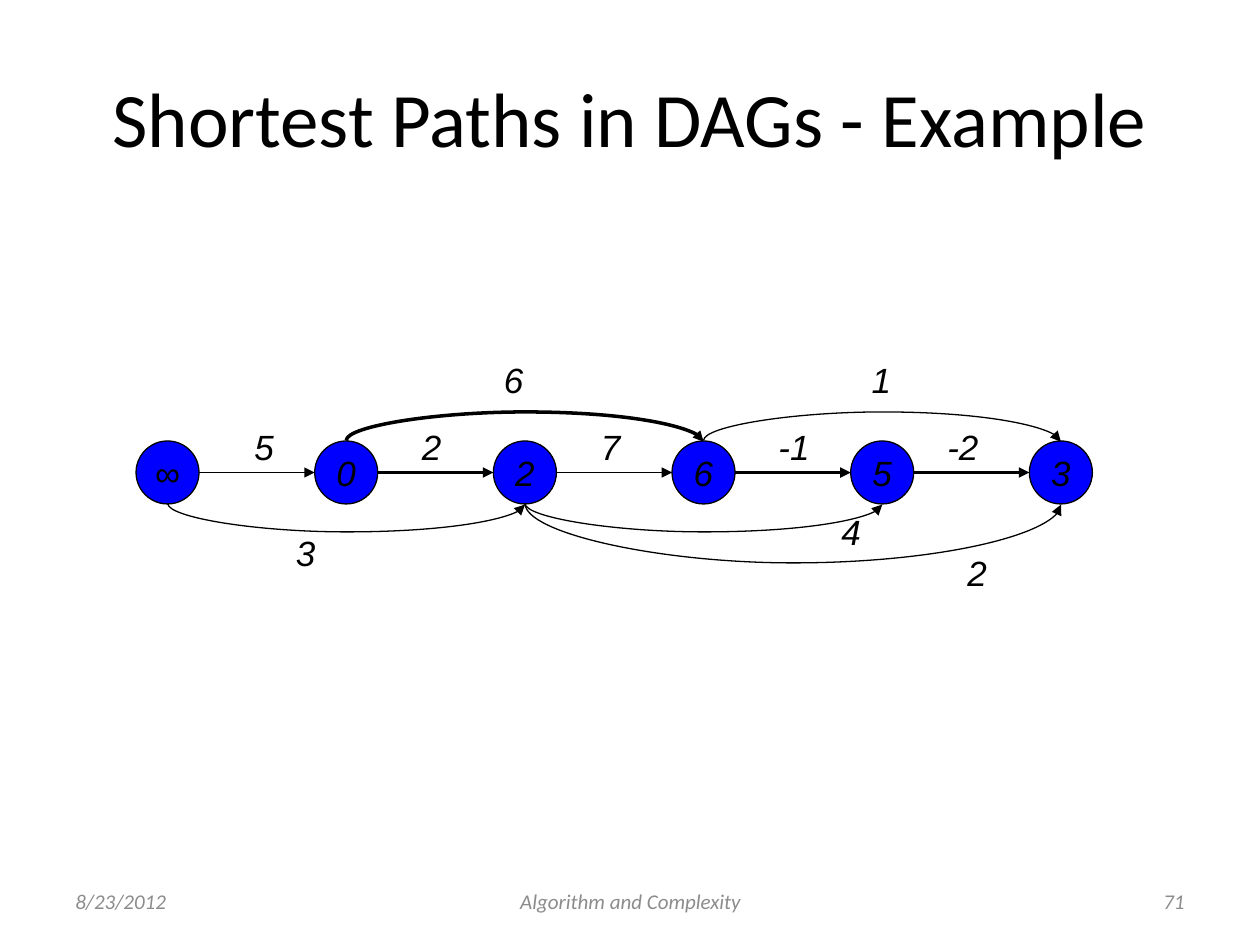
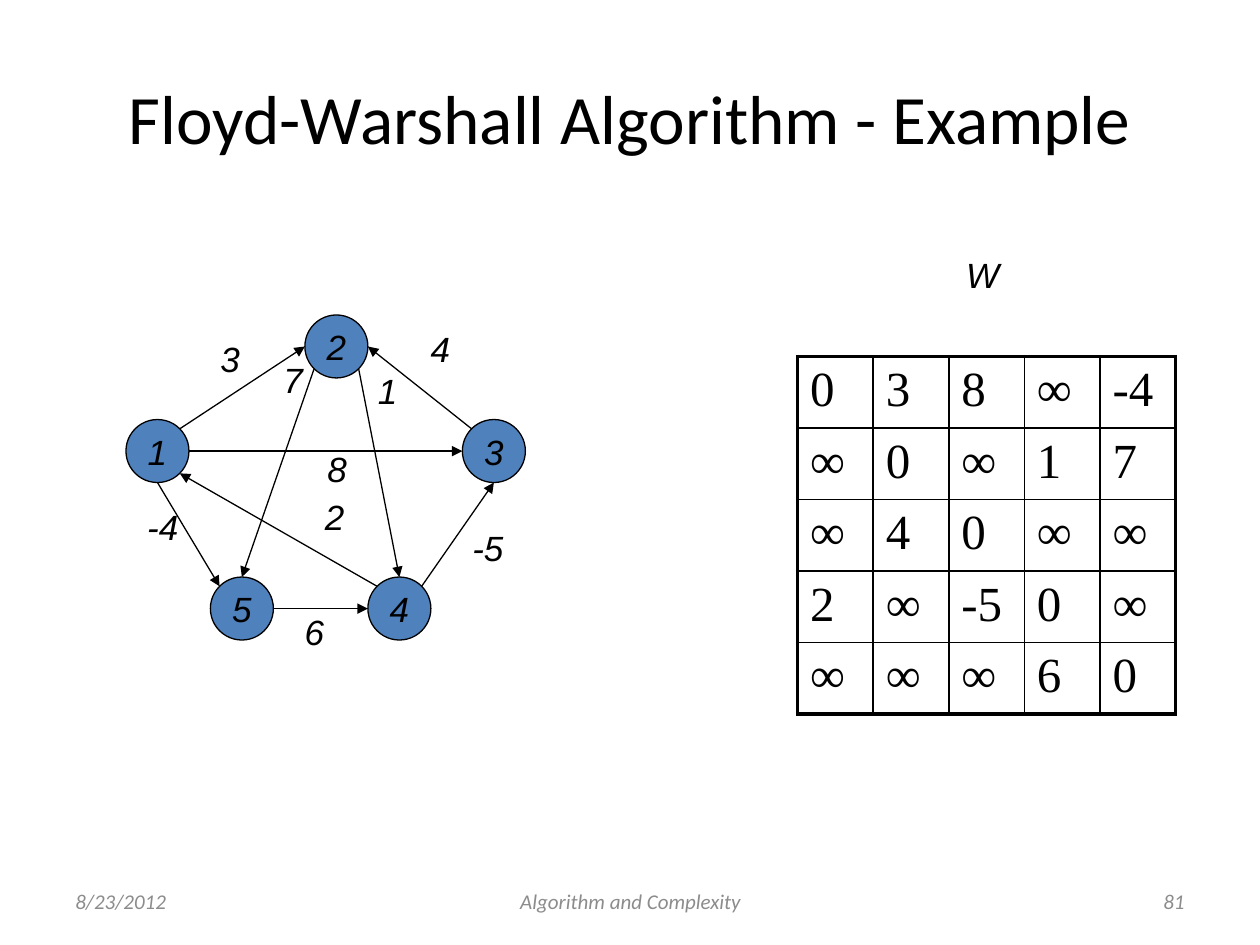
from math import cos, radians, sin

from lxml.etree import SubElement
from pptx import Presentation
from pptx.dml.color import RGBColor
from pptx.enum.shapes import MSO_CONNECTOR, MSO_SHAPE
from pptx.enum.text import MSO_ANCHOR, PP_ALIGN
from pptx.oxml.ns import qn
from pptx.util import Inches, Pt

BLACK, GREY, BLUE, STEEL = "000000", "8C8C8C", "0000FF", "4F81BD"
LEFT, CENTER, RIGHT = PP_ALIGN.LEFT, PP_ALIGN.CENTER, PP_ALIGN.RIGHT
DIAMETER = 0.5
TOP, TOP_LEFT, MID_LEFT, BOTTOM_LEFT, BOTTOM, BOTTOM_RIGHT, MID_RIGHT, TOP_RIGHT = range(8)


def rgb(value):
    """Turn a hex string into a colour."""
    return RGBColor.from_string(value)


def write(tf, text, size=20, font="Arial", color=BLACK, italic=False,
          align=LEFT, anchor=MSO_ANCHOR.TOP, wrap=False):
    """Fill a text frame with one formatted paragraph."""
    tf.word_wrap = wrap
    tf.vertical_anchor = anchor
    p = tf.paragraphs[0]
    p.alignment = align
    r = p.add_run()
    r.text = text
    r.font.size = Pt(size)
    r.font.name = font
    r.font.italic = italic
    r.font.color.rgb = rgb(color)


def add_text(s, text, x, y, w, h, **fmt):
    """Add a text box."""
    sp = s.shapes.add_textbox(Inches(x), Inches(y), Inches(w), Inches(h))
    write(sp.text_frame, text, **fmt)


def add_labels(s, labels):
    """Add italic labels given as (text, left, top)."""
    for text, x, y in labels:
        add_text(s, text, x, y, 0.26 + 0.11 * len(text), 0.5, italic=True)


def add_node(s, text, x, y, color):
    """Add a round graph node."""
    sp = s.shapes.add_shape(MSO_SHAPE.FLOWCHART_CONNECTOR, Inches(x), Inches(y),
                            Inches(DIAMETER), Inches(DIAMETER))
    sp.shadow.inherit = False
    sp.fill.solid()
    sp.fill.fore_color.rgb = rgb(color)
    sp.line.color.rgb = rgb(BLACK)
    sp.line.width = Pt(0.75)
    write(sp.text_frame, text, italic=True, align=CENTER, anchor=MSO_ANCHOR.MIDDLE)
    return sp


def site_point(node, site):
    """Return the place in inches of one of a node's eight connection sites."""
    radius, angle = DIAMETER / 2, radians(45 * site)
    return (node.left.inches + radius * (1 - sin(angle)),
            node.top.inches + radius * (1 - cos(angle)))


def finish_edge(c, start, start_site, end, end_site, width):
    """Glue an edge to its nodes and give it a line and an arrowhead."""
    c.line.color.rgb = rgb(BLACK)
    c.line.width = Pt(width)
    SubElement(c.line._get_or_add_ln(), qn("a:tailEnd"), type="triangle")
    SubElement(c._element.spPr, qn("a:effectLst"))
    glue = c._element.find(".//" + qn("p:cNvCxnSpPr"))
    for tag, node, site in (("a:stCxn", start, start_site), ("a:endCxn", end, end_site)):
        SubElement(glue, qn(tag), id=str(node.shape_id), idx=str(site))


def add_edge(s, start, start_site, end, end_site, width=0.75):
    """Add a straight arrow between two nodes."""
    points = site_point(start, start_site) + site_point(end, end_site)
    c = s.shapes.add_connector(MSO_CONNECTOR.STRAIGHT, *map(Inches, points))
    finish_edge(c, start, start_site, end, end_site, width)


def add_arc(s, start, end, site, depth, width=0.75):
    """Add a curved arrow bulging above or below two nodes of one row."""
    (x1, y), (x2, _) = site_point(start, site), site_point(end, site)
    middle, half, thin = (x1 + x2) / 2, (x2 - x1) / 2, 0.01
    c = s.shapes.add_connector(MSO_CONNECTOR.CURVE, Inches(middle - thin / 2), Inches(y - half),
                               Inches(middle + thin / 2), Inches(y + half))
    xfrm = c._element.spPr.find(qn("a:xfrm"))
    above = site == TOP
    xfrm.set("rot", str((90 if above else 270) * 60000))
    xfrm.set("flipV" if above else "flipH", "1")
    bulge = round(depth / thin * 100000) * (-1 if above else 1)
    guides = c._element.spPr.find(".//" + qn("a:avLst"))
    SubElement(guides, qn("a:gd"), name="adj1", fmla=f"val {bulge}")
    finish_edge(c, start, site, end, site, width)


def set_border(cell, side, width):
    """Draw one border of a table cell."""
    ln = SubElement(cell._tc.get_or_add_tcPr(), qn(f"a:ln{side}"), w=str(Pt(width)))
    SubElement(SubElement(ln, qn("a:solidFill")), qn("a:srgbClr"), val=BLACK)


def add_matrix(s, rows, x, y, w, h):
    """Add a square matrix with a thick frame and thin inner lines."""
    n = len(rows)
    table = s.shapes.add_table(n, n, Inches(x), Inches(y), Inches(w), Inches(h)).table
    table.first_row = table.horz_banding = False
    for i, values in enumerate(rows):
        table.rows[i].height = Inches(h / n)
        table.columns[i].width = Inches(w / n)
        for j, value in enumerate(values):
            cell = table.cell(i, j)
            outer = {"L": j == 0, "R": j == n - 1, "T": i == 0, "B": i == n - 1}
            for side, thick in outer.items():
                set_border(cell, side, 2.25 if thick else 1)
            cell.fill.background()
            write(cell.text_frame, value, size=28, font="Times New Roman", wrap=True)


def add_slide(prs, title, number, title_size=44):
    """Add a blank slide with the shared title and footer."""
    s = prs.slides.add_slide(prs.slide_layouts[6])
    shared = dict(font="Calibri", anchor=MSO_ANCHOR.MIDDLE, wrap=True)
    add_text(s, title, 0.5, 0.3, 9, 1.25, size=title_size, align=CENTER, **shared)
    for text, x, w, align in (("8/23/2012", 0.5, 2.33, LEFT),
                              ("Algorithm and Complexity", 3.42, 3.17, CENTER),
                              (number, 7.17, 2.33, RIGHT)):
        add_text(s, text, x, 6.95, w, 0.4, size=12, color=GREY, italic=True,
                 align=align, **shared)
    return s


def build_dag(prs):
    """Build the shortest path example on a sorted DAG."""
    s = add_slide(prs, "Shortest Paths in DAGs - Example", "71")
    pitch = (8.17 - 1.08) / 5
    nodes = [add_node(s, text, 1.08 + i * pitch, 3.5, BLUE)
             for i, text in enumerate("∞02653")]
    for i, width in enumerate((0.75, 2, 0.75, 2, 2)):
        add_edge(s, nodes[i], MID_RIGHT, nodes[i + 1], MID_LEFT, width)
    for start, end, site, depth, width in ((1, 3, TOP, 0.23, 2), (3, 5, TOP, 0.23, 0.75),
                                           (0, 2, BOTTOM, 0.23, 0.75),
                                           (2, 4, BOTTOM, 0.23, 0.75),
                                           (2, 5, BOTTOM, 0.48, 0.75)):
        add_arc(s, nodes[start], nodes[end], site, depth, width)
    add_labels(s, [("5", 1.92, 3.33), ("2", 3.25, 3.33), ("7", 4.67, 3.33),
                   ("-1", 6.08, 3.33), ("-2", 7.42, 3.33), ("6", 3.9, 2.8),
                   ("1", 6.82, 2.8), ("3", 2.25, 4.17), ("4", 6.58, 4), ("2", 7.58, 4.33)])


def build_floyd_warshall(prs):
    """Build the weighted graph and its weight matrix."""
    s = add_slide(prs, "Floyd-Warshall Algorithm - Example", "81", title_size=39.6)
    places = {1: (1, 3.33), 2: (2.42, 2.5), 3: (3.67, 3.33), 4: (2.92, 4.58), 5: (1.67, 4.58)}
    nodes = {key: add_node(s, str(key), x, y, STEEL) for key, (x, y) in places.items()}
    for start, start_site, end, end_site in ((1, TOP_RIGHT, 2, MID_LEFT),
                                             (3, TOP_LEFT, 2, MID_RIGHT),
                                             (1, BOTTOM, 5, TOP_LEFT),
                                             (5, MID_RIGHT, 4, MID_LEFT),
                                             (4, TOP_RIGHT, 3, BOTTOM),
                                             (4, TOP_LEFT, 1, BOTTOM_RIGHT),
                                             (1, MID_RIGHT, 3, MID_LEFT),
                                             (2, BOTTOM_LEFT, 5, TOP),
                                             (2, BOTTOM_RIGHT, 4, TOP)):
        add_edge(s, nodes[start], start_site, nodes[end], end_site)
    add_labels(s, [("3", 1.65, 2.63), ("4", 3.32, 2.55), ("-4", 1.07, 3.96),
                   ("-5", 3.65, 4.13), ("6", 2.32, 4.8), ("7", 2.15, 2.8),
                   ("1", 2.9, 2.88), ("8", 2.5, 3.5), ("2", 2.48, 3.88)])
    rows = ("0 3 8 ∞ -4", "∞ 0 ∞ 1 7", "∞ 4 0 ∞ ∞", "2 ∞ -5 0 ∞", "∞ ∞ ∞ 6 0")
    add_matrix(s, [row.split() for row in rows], 6.33, 2.83, 3, 2.83)
    add_text(s, "W", 7.57, 1.96, 0.52, 0.5, italic=True)


def main():
    """Build and save the presentation."""
    prs = Presentation()
    prs.slide_width, prs.slide_height = Inches(10), Inches(7.5)
    build_dag(prs)
    build_floyd_warshall(prs)
    prs.save("out.pptx")


if __name__ == "__main__":
    main()
